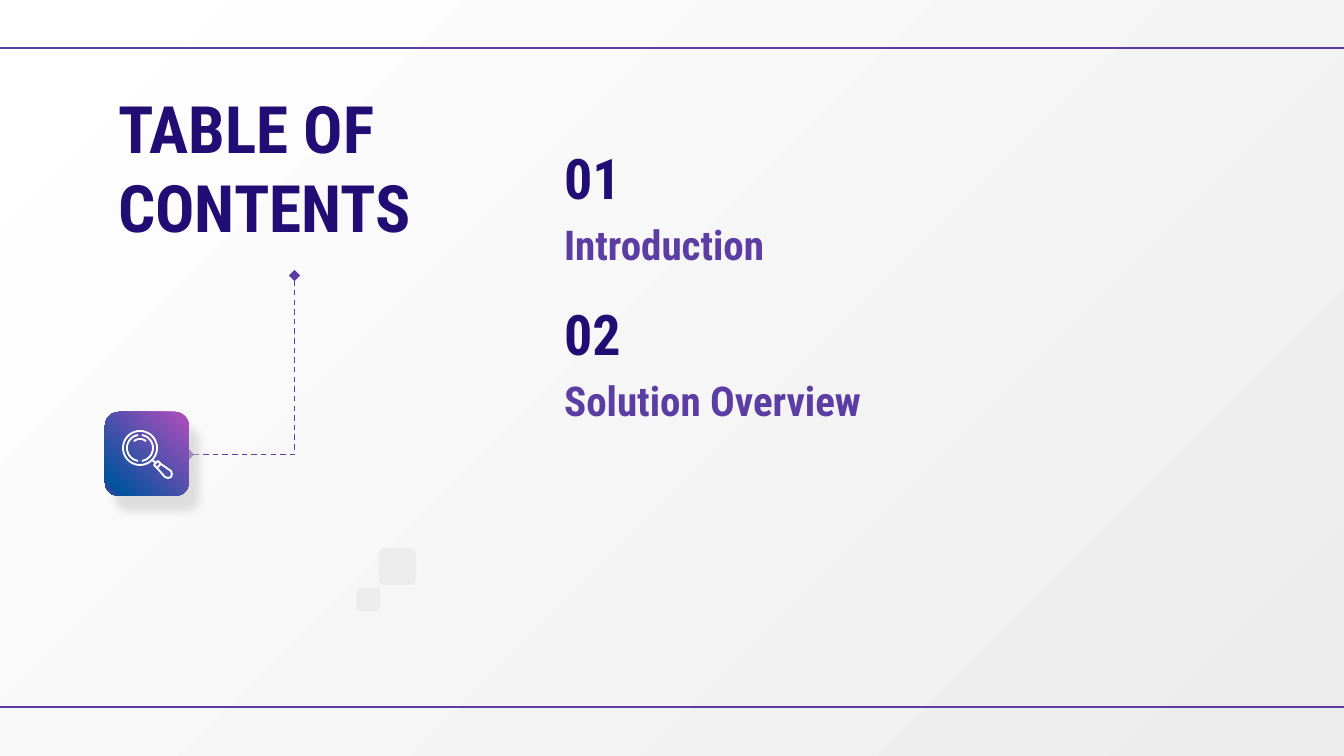
from copy import deepcopy
from math import cos, radians, sin

from lxml.etree import SubElement
from pptx import Presentation
from pptx.dml.color import RGBColor
from pptx.enum.dml import MSO_LINE
from pptx.enum.shapes import MSO_CONNECTOR as LINK, MSO_SHAPE as SHAPE
from pptx.enum.text import MSO_ANCHOR as ANCHOR
from pptx.oxml.ns import qn
from pptx.util import Pt

PX = 914400 / 134.4
WIDTH, HEIGHT = 1344, 756
FONT = "Roboto Condensed"

NAVY = RGBColor(0x20, 0x0E, 0x74)
PURPLE = RGBColor(0x5C, 0x3D, 0xA4)
PINK = RGBColor(0xB2, 0x4E, 0xBE)
BLUE = RGBColor(0x01, 0x53, 0x9D)
GRAY = RGBColor(0xEC, 0xEC, 0xEC)
WHITE = RGBColor(0xFF, 0xFF, 0xFF)

# Content
TITLE = "TABLE OF CONTENTS"
ENTRIES = [("01", "Introduction", 323), ("02", "Solution Overview", 366)]
ENTRY_LEFT, ENTRY_TOP, ENTRY_STEP = 551, 133, 156
NUMBER_HEIGHT, LABEL_HEIGHT = 91, 58
RULES = [48, 707]
SQUARES = [(379, 548, 37), (357, 588, 23)]
TILE = (105, 412, 84)

# Magnifier: lens arcs as (radius, start angle, end angle), handle as outlines
LENS_CENTER = (140, 448)
LENS_ARCS = [(17, 0, 360), (13, -82, 82), (13, 98, 262), (9, 228, 312)]
HANDLE = [
    [(152, 460), (156, 463)],
    [(158, 461), (161, 464), (157, 468), (154, 465), (158, 461)],
    [(161, 464), (171, 471), (172, 474), (171, 477), (168, 478),
     (165, 477), (157, 468)],
]


def emu(*lengths):
    return [round(length * PX) for length in lengths]


def set_gradient(fill, stops, angle):
    fill.gradient()
    fill.gradient_angle = angle
    stop_list = fill.gradient_stops[0]._gs.getparent()
    while len(stop_list) < len(stops):
        stop_list.append(deepcopy(stop_list[-1]))
    for stop, (position, color) in zip(fill.gradient_stops, stops):
        stop.position = position
        stop.color.rgb = color


def add_text(slide, text, bounds, size, color, anchor=ANCHOR.BOTTOM):
    box = slide.shapes.add_textbox(*emu(*bounds))
    frame = box.text_frame
    frame.word_wrap = True
    frame.vertical_anchor = anchor
    frame.margin_left = frame.margin_right = Pt(7.2)
    frame.margin_top = frame.margin_bottom = Pt(7.2)
    para = frame.paragraphs[0]
    para.text = text
    font = para.font
    font.name, font.size, font.bold = FONT, Pt(size), True
    font.color.rgb = color


def add_link(slide, kind, *ends):
    link = slide.shapes.add_connector(kind, *emu(*ends))
    link.line.color.rgb = PURPLE
    link.line.width = Pt(0.75)
    SubElement(link._element.spPr, qn("a:effectLst"))
    return link


def add_square(slide, left, top, size):
    square = slide.shapes.add_shape(
        SHAPE.ROUNDED_RECTANGLE, *emu(left, top, size, size))
    square.shadow.inherit = False
    square.line.fill.background()
    return square


def add_stroke(slide, points):
    first, *rest = [emu(*point) for point in points]
    builder = slide.shapes.build_freeform(*first)
    builder.add_line_segments(rest, close=False)
    stroke = builder.convert_to_shape()
    stroke.shadow.inherit = False
    stroke.fill.background()
    stroke.line.color.rgb = WHITE
    stroke.line.width = Pt(1)


def arc_points(radius, start, end):
    x, y = LENS_CENTER
    angles = [radians(start + (end - start) * i / 36) for i in range(37)]
    return [(x + radius * cos(a), y + radius * sin(a)) for a in angles]


deck = Presentation()
deck.slide_width, deck.slide_height = emu(WIDTH, HEIGHT)
page = deck.slides.add_slide(deck.slide_layouts[6])
set_gradient(page.background.fill, [(0, WHITE), (1, GRAY)], 315)

# Horizontal rules
for y in RULES:
    add_link(page, LINK.STRAIGHT, 0, y, WIDTH, y)

# Title and entries
add_text(page, TITLE, (105, 75, 379, 200), 35, NAVY, ANCHOR.TOP)
for index, (number, label, width) in enumerate(ENTRIES):
    top = ENTRY_TOP + index * ENTRY_STEP
    add_text(page, number, (ENTRY_LEFT, top, 323, NUMBER_HEIGHT), 30, NAVY)
    add_text(page, label, (ENTRY_LEFT, top + NUMBER_HEIGHT, width, LABEL_HEIGHT),
             22, PURPLE)

# Decorative squares
for bounds in SQUARES:
    square = add_square(page, *bounds)
    square.fill.solid()
    square.fill.fore_color.rgb = GRAY

# Dashed elbow from the title down to the tile, turned a quarter
elbow = add_link(page, LINK.ELBOW, 152, 312, 331, 418)
elbow.line.dash_style = MSO_LINE.DASH
properties = elbow._element.spPr
properties.find(qn("a:prstGeom")).set("prst", "bentConnector2")
properties.find(qn("a:xfrm")).set("rot", str(90 * 60000))
for end in ("a:headEnd", "a:tailEnd"):
    SubElement(elbow.line._get_or_add_ln(), qn(end), type="diamond")

# Icon tile with its shadow
tile = add_square(page, *TILE)
set_gradient(tile.fill, [(0, PINK), (0.89, BLUE), (1, PURPLE)], 225)
effects = tile._element.spPr.find(qn("a:effectLst"))
shadow = SubElement(effects, qn("a:outerShdw"), blurRad=str(Pt(4.5)),
                    dist=str(Pt(9.8)), dir=str(55 * 60000),
                    algn="bl", rotWithShape="0")
shade = SubElement(shadow, qn("a:srgbClr"), val="CCCCCC")
SubElement(shade, qn("a:alpha"), val="60000")

# Magnifier
for outline in [arc_points(*arc) for arc in LENS_ARCS] + HANDLE:
    add_stroke(page, outline)

deck.save("out.pptx")
